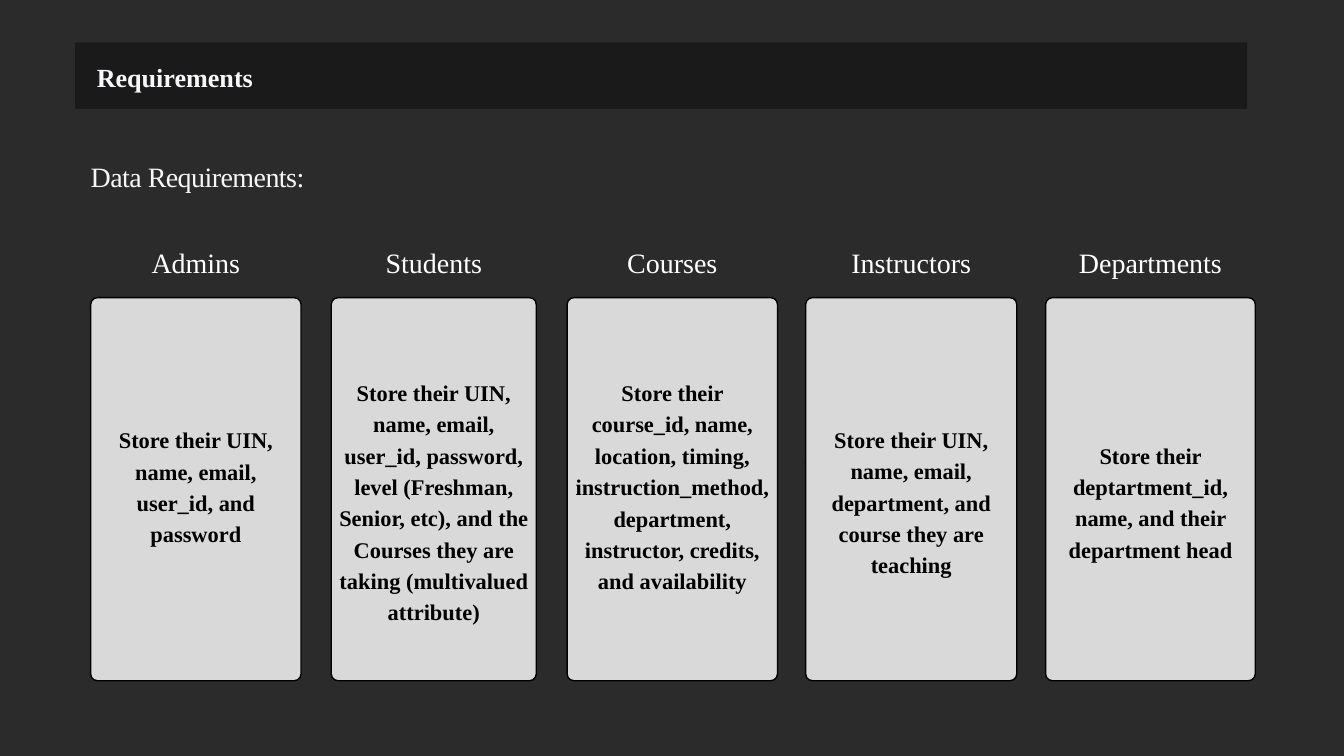
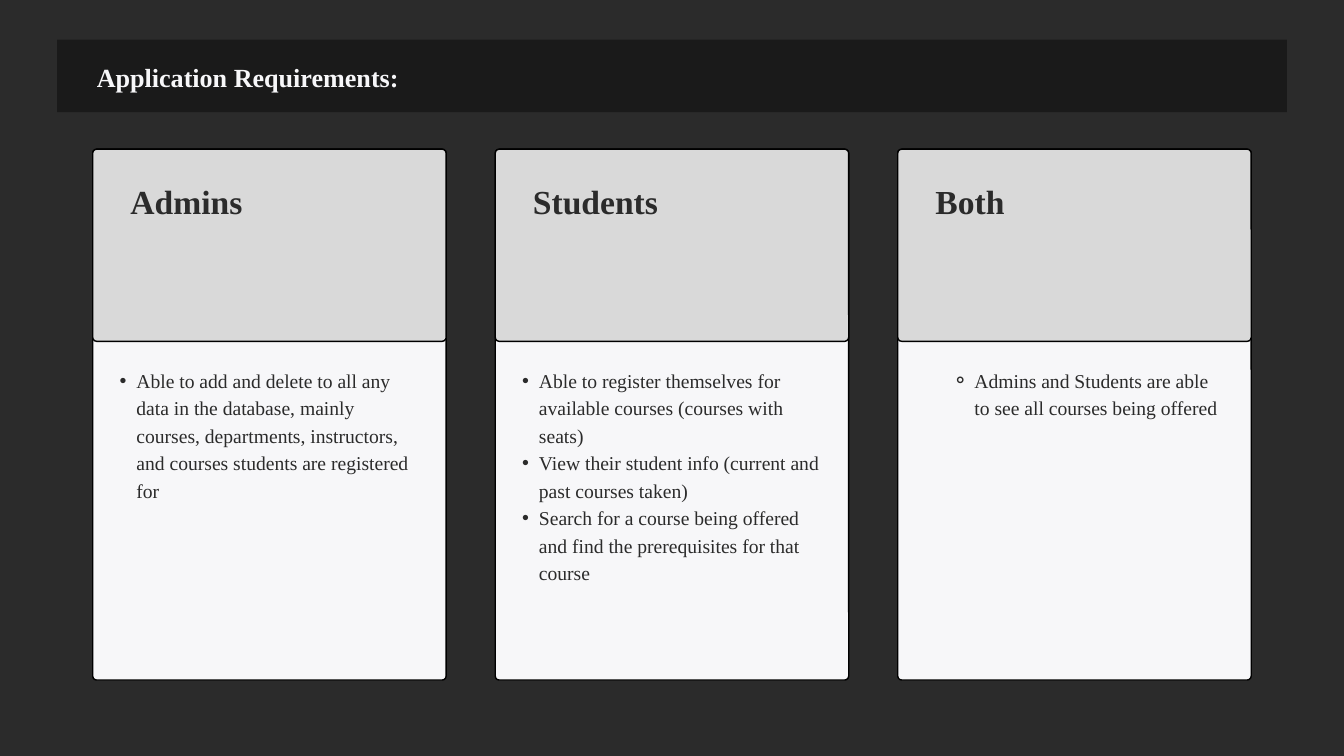
from lxml import etree
from pptx import Presentation
from pptx import util as u
from pptx.dml.color import RGBColor
from pptx.enum import shapes, text
from pptx.oxml import ns

INK = {"back": "2B2B2B", "band": "101010", "card": "D9D9D9",
       "pale": "F7F7F9", "white": "FFFFFF", "black": "000000"}
FONT = "Times New Roman"
LEFT, MID = text.PP_ALIGN.LEFT, text.PP_ALIGN.CENTER
TOP, HALF = text.MSO_ANCHOR.TOP, text.MSO_ANCHOR.MIDDLE

# Cards on the first slide: left, width, text drop, heading, text
DATA = [
    (1.35, 3.13, -0.07, "Admins", "Store their UIN, name, email, user_id, and password"),
    (4.93, 3.05, 0.16, "Students",
     "Store their UIN, name, email, user_id, password, level (Freshman, Senior, etc), "
     "and the Courses they are taking (multivalued attribute)"),
    (8.44, 3.13, -0.07, "Courses",
     "Store their course_id, name, location, timing, instruction_method, department, "
     "instructor, credits, and availability"),
    (11.99, 3.14, 0.16, "Instructors",
     "Store their UIN, name, email, department, and course they are teaching"),
    (15.56, 3.12, 0.16, "Departments",
     "Store their deptartment_id, name, and their department head"),
]

# Panels on the second slide: heading, list items, bullet, level, indent, hang
ROLES = [
    ("Admins",
     ["Able to add and delete to all any data in the database, mainly courses, "
      "departments, instructors, and courses students are registered for"],
     ("•", 1, 0.5, 0.25)),
    ("Students",
     ["Able to register themselves for available courses (courses with seats)",
      "View their student info (current and past courses taken)",
      "Search for a course being offered and find the prerequisites for that course"],
     ("•", 1, 0.5, 0.25)),
    ("Both",
     ["Admins and Students are able to see all courses being offered"],
     ("⚬", 2, 0.99, 0.33)),
]


def tint(name):
    return RGBColor.from_string(INK[name])


def place(shape, box):
    """Move a shape to a box and bring it to the front."""
    shape.left, shape.top, shape.width, shape.height = map(u.Inches, box)
    tree = shape.element.getparent()
    tree.append(shape.element)


def mark(par, bullet):
    """Give a paragraph its bullet and hanging indent."""
    sign, level, indent, hang = bullet
    par.level = level
    props = par._p.get_or_add_pPr()
    props.set("marL", str(u.Inches(indent)))
    props.set("indent", str(-u.Inches(hang)))
    etree.SubElement(props, ns.qn("a:buChar")).set("char", sign)


def write(shape, lines, size, lead, color="pale", bold=False, align=LEFT,
          anchor=TOP, pads=(0, 0, 0, 0), track=0, bullet=None):
    """Fill a shape with formatted paragraphs."""
    frame = shape.text_frame
    frame.word_wrap = True
    frame.auto_size = text.MSO_AUTO_SIZE.NONE
    frame.vertical_anchor = anchor
    (frame.margin_left, frame.margin_top,
     frame.margin_right, frame.margin_bottom) = map(u.Inches, pads)
    lines = [lines] if isinstance(lines, str) else lines
    for i, line in enumerate(lines):
        par = frame.add_paragraph() if i else frame.paragraphs[0]
        par.alignment = align
        par.line_spacing = u.Pt(lead)
        par.space_before = par.space_after = u.Pt(0)
        if bullet:
            mark(par, bullet)
        run = par.add_run()
        run.text = line
        font = run.font
        font.name, font.size, font.bold = FONT, u.Pt(size), bold
        font.color.rgb = tint(color)
        if track:
            run._r.get_or_add_rPr().set("spc", str(round(track * 100)))


def label(slide, box, words, **style):
    write(slide.shapes.add_textbox(*map(u.Inches, box)), words, **style)


def block(slide, box, color, round_by=0.0):
    """Draw a filled box; rounded ones get a black outline."""
    kind = shapes.MSO_SHAPE.ROUNDED_RECTANGLE if round_by else shapes.MSO_SHAPE.RECTANGLE
    shape = slide.shapes.add_shape(kind, *map(u.Inches, box))
    shape.shadow.inherit = False
    shape.fill.solid()
    shape.fill.fore_color.rgb = tint(color)
    if round_by:
        shape.adjustments[0] = round_by / min(box[2:])
        shape.line.color.rgb = tint("black")
        shape.line.width = u.Pt(1.5)
    else:
        shape.line.fill.background()
    return shape


def header(slide, box, words):
    """Draw the see-through band with the slide title on it."""
    band = block(slide, box, "band")
    solid = band.element.spPr.find(ns.qn("a:solidFill"))
    etree.SubElement(solid[0], ns.qn("a:alpha")).set("val", "60000")
    title = slide.shapes.title
    place(title, (1.44, 0.83, 8.18, 0.53))
    write(title, words, size=28, lead=39.2, bold=True)


def column(slide, box, drop, head, words):
    """Draw a data card with its heading above."""
    x, y, w, h = box
    label(slide, (x, y - 0.86, w, 0.54), head, size=30, lead=42, color="white", align=MID)
    card = block(slide, box, "card", 0.1)
    write(card, words, size=24, lead=33.6, color="black", bold=True, align=MID,
          anchor=HALF, pads=(0.03, 0.4 + drop, 0.03, 0.4 - drop))


def panel(slide, box, body, head, items, bullet):
    """Draw a role panel: heading block on top, list below."""
    x, y, w, h = box
    block(slide, box, "pale", 0.06)
    block(slide, (x, y, w, 2.86), "card", 0.06)
    label(slide, (x + 0.56, y + 0.37, 3.92, 0.68), head, size=36, lead=50.4,
          color="back", bold=True)
    place(body, (x + 0.15, y + 3.21, 4.74, 4.05))
    write(body, items, size=21, lead=29.4, color="back", bullet=bullet)


def data_slide(deck):
    slide = deck.slides.add_slide(deck.slide_layouts.get_by_name("Title Only"))
    header(slide, (1.12, 0.63, 17.44, 0.99), "Requirements")
    label(slide, (1.35, 2.37, 17.21, 0.5), "Data Requirements:", size=30, lead=36, track=-0.6)
    for x, w, drop, head, words in DATA:
        column(slide, (x, 4.43, w, 5.7), drop, head, words)


def role_slide(deck):
    slide = deck.slides.add_slide(deck.slide_layouts.get_by_name("Comparison"))
    header(slide, (0.85, 0.59, 18.3, 1.08), "Application Requirements:")
    bodies = [slide.placeholders[i] for i in (1, 2, 3)]
    spare = slide.placeholders[4].element
    spare.getparent().remove(spare)
    for i, (body, role) in enumerate(zip(bodies, ROLES)):
        panel(slide, (1.38 + 5.99 * i, 2.22, 5.26, 7.9), body, *role)


def main():
    deck = Presentation()
    deck.slide_width, deck.slide_height = u.Inches(20), u.Inches(11.25)
    fill = deck.slide_master.background.fill
    fill.solid()
    fill.fore_color.rgb = tint("back")
    data_slide(deck)
    role_slide(deck)
    deck.save("out.pptx")


if __name__ == "__main__":
    main()
